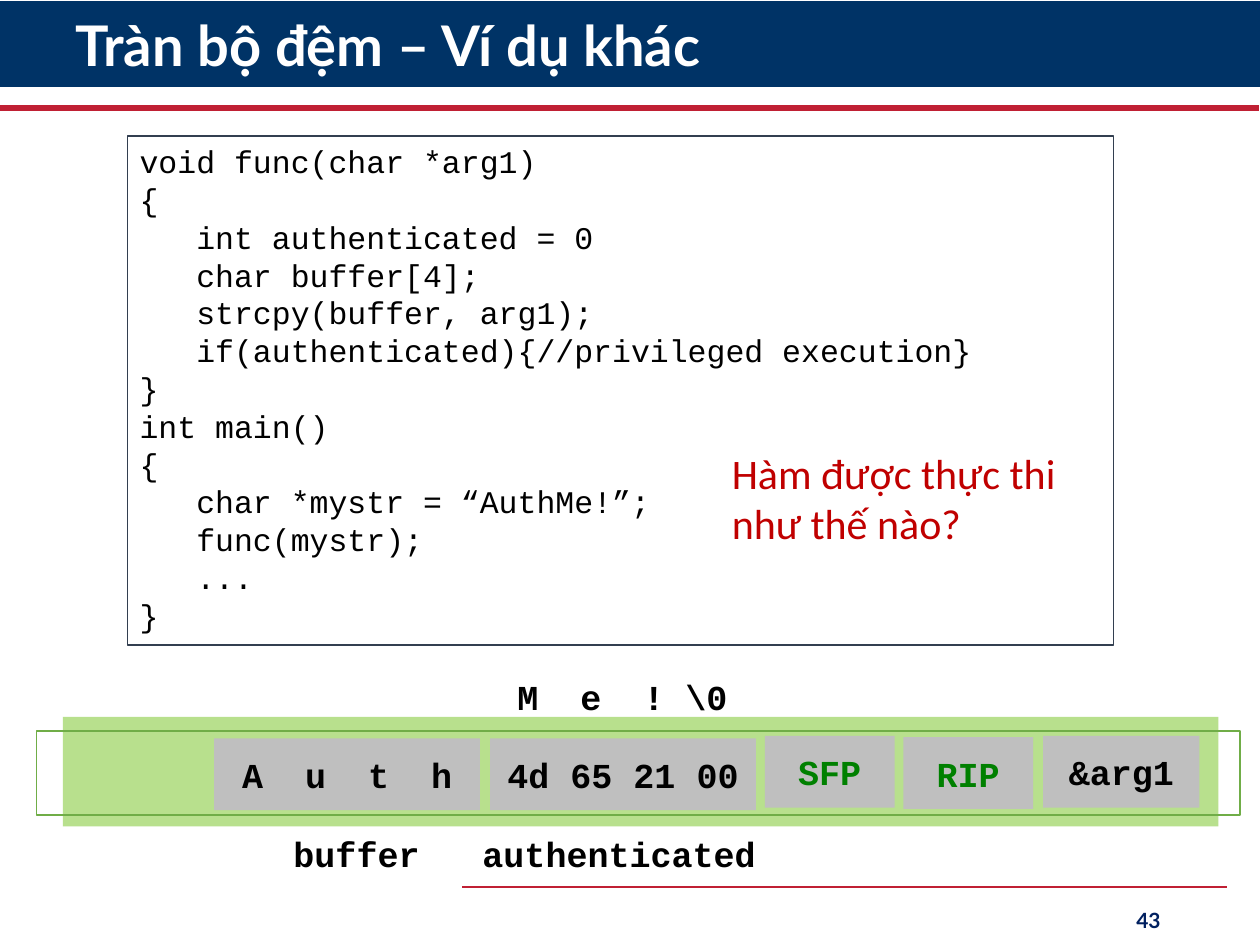
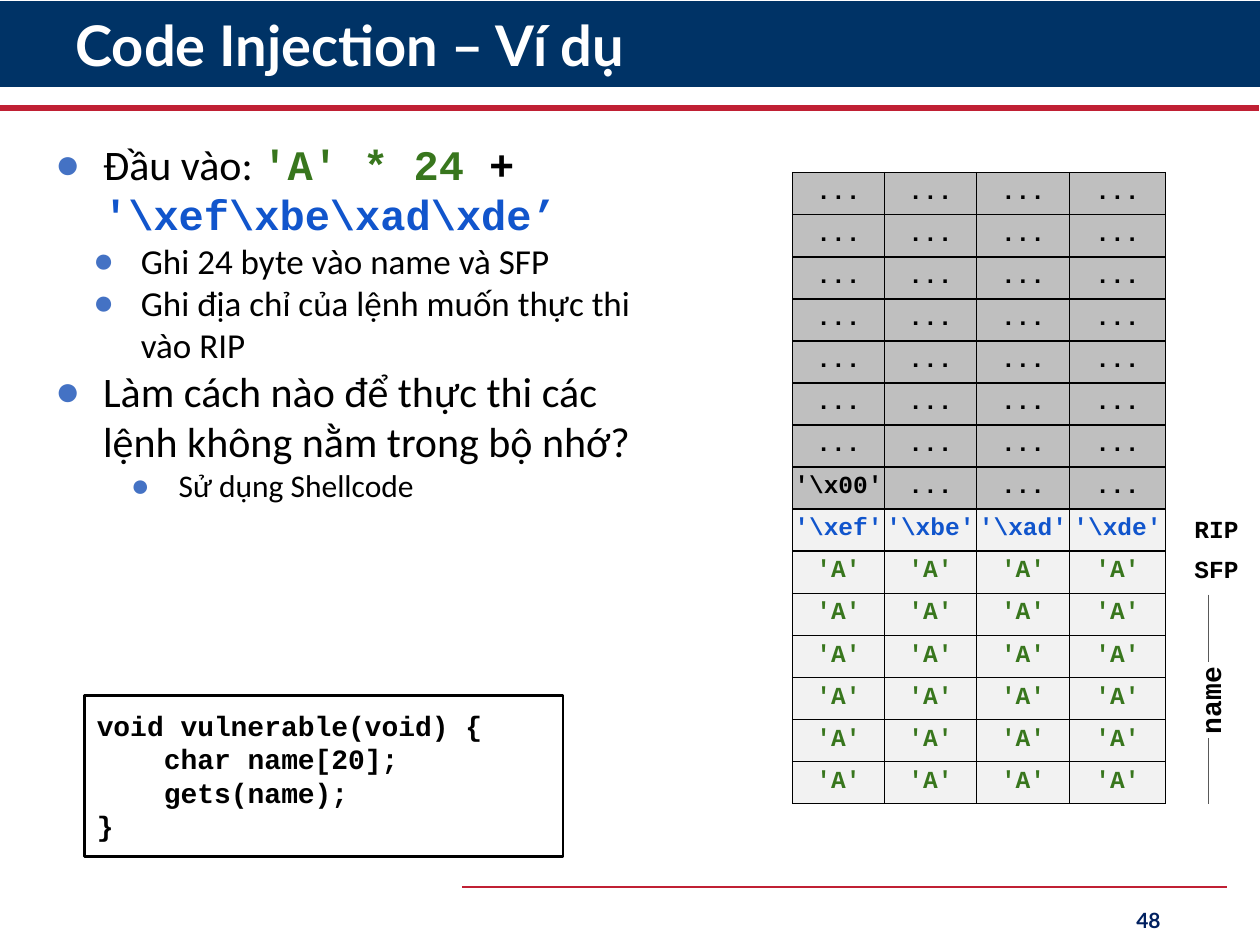
from dataclasses import dataclass, replace

from lxml.etree import SubElement
from pptx import Presentation
from pptx.dml.color import RGBColor
from pptx.enum.shapes import MSO_CONNECTOR, MSO_SHAPE
from pptx.enum.text import MSO_ANCHOR, PP_ALIGN
from pptx.oxml.ns import qn
from pptx.util import Inches, Pt

COLORS = {
    "white": "FFFFFF",
    "black": "000000",
    "navy": "003366",
    "number": "002060",
    "crimson": "C02034",
    "question": "C00000",
    "slate": "333F50",
    "lime": "92D050",
    "leaf": "70AD47",
    "grey": "BFBFBF",
    "pale": "F2F2F2",
    "bracket": "595959",
    "register": "008000",
    "padding": "38761D",
    "address": "1155CC",
    "bullet": "4472C4",
}
HEADING, BODY, CODE = "Lato", "Calibri", "Courier New"
CHARACTER_WIDTH = 0.6
BULLET_HANG = 0.38


@dataclass(frozen=True)
class Style:
    size: float
    font: str = CODE
    color: str = "black"
    bold: bool = False
    spacing: float = 0


@dataclass(frozen=True)
class Span:
    text: str
    style: Style


@dataclass(frozen=True)
class Para:
    spans: list[Span]
    align: PP_ALIGN = PP_ALIGN.LEFT
    left: float = 0
    level: int = 0
    bullet: bool = False
    line_spacing: float | None = None


@dataclass(frozen=True)
class Box:
    left: float
    top: float
    width: float
    height: float
    paras: tuple[Para, ...] | list[Para] = ()
    fill: str | None = None
    alpha: int = 100
    line: str | None = None
    line_width: float = 1
    anchor: MSO_ANCHOR = MSO_ANCHOR.TOP
    side_inset: float = 0.1
    end_inset: float = 0.05
    wrap: bool = True
    rotation: float = 0
    is_text: bool = False


@dataclass(frozen=True)
class Line:
    start: tuple[float, float]
    end: tuple[float, float]
    color: str
    width: float


STACK = Style(20, bold=True)
REGISTER = replace(STACK, color="register")
LABEL = Style(14, bold=True)
TITLE = Style(32, HEADING, "white", True)
PAGE_NUMBER = Style(12, HEADING, "number", True)


def color(name: str) -> RGBColor:
    return RGBColor.from_string(COLORS[name])


def centered(text: str, style: Style) -> Para:
    return Para([Span(text, style)], PP_ALIGN.CENTER)


def code_paras(lines: list[tuple[int, str]], style: Style) -> list[Para]:
    step = style.size * CHARACTER_WIDTH / 72
    return [Para([Span(text, style)], left=columns * step) for columns, text in lines]


def spaced_letters(letters: list[str], gaps: list[int]) -> Para:
    spans = [Span(letters[0], STACK)]
    for letter, gap in zip(letters[1:], gaps):
        extra = (gap - 1) * STACK.size * CHARACTER_WIDTH
        spans += [Span(" ", replace(STACK, spacing=extra)), Span(letter, STACK)]
    return Para(spans, PP_ALIGN.CENTER)


def bullet(spans: list[Span], level: int = 0) -> Para:
    return Para(spans, left=0.5 + 0.3 * level, level=level, bullet=True)


def add_bullet_mark(properties) -> None:
    properties.set("indent", str(-Inches(BULLET_HANG)))
    tint = SubElement(properties, qn("a:buClr"))
    SubElement(tint, qn("a:srgbClr"), val=COLORS["bullet"])
    SubElement(properties, qn("a:buFont"), typeface="Arial")
    SubElement(properties, qn("a:buChar"), char="●")


def write_para(paragraph, para: Para) -> None:
    paragraph.alignment = para.align
    paragraph.level = para.level
    if para.line_spacing:
        paragraph.line_spacing = para.line_spacing
    properties = paragraph._p.get_or_add_pPr()
    if para.left:
        properties.set("marL", str(Inches(para.left)))
    if para.bullet:
        add_bullet_mark(properties)
    for span in para.spans:
        run = paragraph.add_run()
        run.text = span.text
        run.font.size = Pt(span.style.size)
        run.font.name = span.style.font
        run.font.bold = span.style.bold
        run.font.color.rgb = color(span.style.color)
        if span.style.spacing:
            run._r.get_or_add_rPr().set("spc", str(round(span.style.spacing * 100)))


def write_paras(frame, paras) -> None:
    for index, para in enumerate(paras):
        write_para(frame.add_paragraph() if index else frame.paragraphs[0], para)


def draw_box(page, box: Box) -> None:
    place = [Inches(value) for value in (box.left, box.top, box.width, box.height)]
    if box.is_text:
        shape = page.shapes.add_textbox(*place)
    else:
        shape = page.shapes.add_shape(MSO_SHAPE.RECTANGLE, *place)
        shape.shadow.inherit = False
    shape.rotation = box.rotation
    if box.fill:
        shape.fill.solid()
        shape.fill.fore_color.rgb = color(box.fill)
        if box.alpha < 100:
            tint = shape.element.spPr.find(qn("a:solidFill"))[0]
            SubElement(tint, qn("a:alpha"), val=str(box.alpha * 1000))
    else:
        shape.fill.background()
    if box.line:
        shape.line.color.rgb = color(box.line)
        shape.line.width = Pt(box.line_width)
    else:
        shape.line.fill.background()
    frame = shape.text_frame
    frame.word_wrap = box.wrap
    frame.vertical_anchor = box.anchor
    frame.margin_left = frame.margin_right = Inches(box.side_inset)
    frame.margin_top = frame.margin_bottom = Inches(box.end_inset)
    write_paras(frame, box.paras)


def draw_line(page, line: Line) -> None:
    points = [Inches(value) for value in (*line.start, *line.end)]
    connector = page.shapes.add_connector(MSO_CONNECTOR.STRAIGHT, *points)
    connector.line.color.rgb = color(line.color)
    connector.line.width = Pt(line.width)
    SubElement(connector.element.spPr, qn("a:effectLst"))


def start_page(deck, title: str, number: int):
    page = deck.slides.add_slide(deck.slide_layouts[6])
    draw_box(page, Box(0, 0.01, 10, 0.68, fill="navy"))
    draw_line(page, Line((-0.01, 0.86), (9.99, 0.86), "crimson", 3.5))
    draw_line(page, Line((3.67, 7.04), (9.74, 7.04), "crimson", 1.5))
    heading = Para([Span(title, TITLE)], line_spacing=0.9)
    footer = Para([Span(str(number), PAGE_NUMBER)], PP_ALIGN.RIGHT)
    for place, para in (((0.5, 0.08, 8.81, 0.61), heading), ((7.06, 7.1, 2.25, 0.4), footer)):
        draw_box(page, Box(*place, [para], anchor=MSO_ANCHOR.MIDDLE, is_text=True))
    return page


def build_overflow_page(deck) -> None:
    page = start_page(deck, "Tràn bộ đệm – Ví dụ khác", 43)
    source = code_paras([
        (0, "void func(char *arg1)"),
        (0, "{"),
        (3, "int authenticated = 0"),
        (3, "char buffer[4];"),
        (3, "strcpy(buffer, arg1);"),
        (3, "if(authenticated){//privileged execution}"),
        (0, "}"),
        (0, "int main()"),
        (0, "{"),
        (3, "char *mystr = “AuthMe!”;"),
        (3, "func(mystr);"),
        (3, "..."),
        (0, "}"),
    ], Style(18))
    question = Para([Span("Hàm được thực thi như thế nào?", Style(24, BODY, "question"))])
    draw_box(page, Box(1.01, 1.08, 7.83, 4.04, source, line="slate", line_width=0.75))
    draw_box(page, Box(5.71, 3.5, 2.87, 0.91, [question], is_text=True))
    draw_box(page, Box(0.5, 5.69, 9.17, 0.87, fill="lime", alpha=65))
    draw_box(page, Box(0.29, 5.8, 9.55, 0.67, line="leaf"))

    stack_cells = [
        (1.7, 5.86, 2.11, spaced_letters(list("Auth"), [2, 2, 2])),
        (3.89, 5.86, 2.11, centered("4d 65 21 00", STACK)),
        (6.07, 5.84, 1.03, centered("SFP", REGISTER)),
        (7.17, 5.85, 1.03, centered("RIP", REGISTER)),
        (8.28, 5.84, 1.24, centered("&arg1", STACK)),
    ]
    for left, top, width, para in stack_cells:
        draw_box(page, Box(left, top, width, 0.57, [para], fill="grey", anchor=MSO_ANCHOR.MIDDLE))
    stack_labels = [
        (3.88, 5.31, 2.12, spaced_letters(["M", "e", "!", "\\0"], [2, 2, 1])),
        (1.77, 6.56, 2.12, centered("buffer", STACK)),
        (3.66, 6.56, 2.51, centered("authenticated", STACK)),
    ]
    for left, top, width, para in stack_labels:
        draw_box(page, Box(left, top, width, 0.44, [para], is_text=True))


def draw_memory_table(page) -> None:
    rows = [["..."] * 4] * 7 + [["'\\x00'"] + ["..."] * 3]
    free_rows = len(rows)
    rows += [["'\\xef'", "'\\xbe'", "'\\xad'", "'\\xde'"]] + [["'A'"] * 4] * 6
    table = page.shapes.add_table(
        len(rows), 4, Inches(6.29), Inches(1.37), Inches(2.97), Inches(5.01)
    ).table
    table.first_row = table.horz_banding = False
    for column, width in zip(table.columns, (0.73, 0.73, 0.74, 0.76)):
        column.width = Inches(width)
    for row_index, row in enumerate(rows):
        is_free = row_index < free_rows
        ink = "black" if is_free else "address" if row_index == free_rows else "padding"
        for column_index, text in enumerate(row):
            cell = table.cell(row_index, column_index)
            cell.margin_left = cell.margin_right = 0
            cell.margin_top = cell.margin_bottom = Inches(0.05)
            properties = cell._tc.get_or_add_tcPr()
            for side in "LRTB":
                border = SubElement(properties, qn(f"a:ln{side}"), w=str(Pt(1)))
                fill = SubElement(border, qn("a:solidFill"))
                SubElement(fill, qn("a:srgbClr"), val=COLORS["black"])
            cell.fill.solid()
            cell.fill.fore_color.rgb = color("grey" if is_free else "pale")
            write_para(cell.text_frame.paragraphs[0], centered(text, replace(LABEL, color=ink)))


def build_injection_page(deck) -> None:
    page = start_page(deck, "Code Injection – Ví dụ", 48)
    source = code_paras([
        (0, "void vulnerable(void) {"),
        (4, "char name[20];"),
        (4, "gets(name);"),
        (0, "}"),
    ], Style(16, bold=True))
    draw_box(page, Box(0.67, 5.52, 3.8, 1.28, source, "white", line="black", line_width=1.5, end_inset=0.1))
    for top, bottom in ((4.72, 5.25), (5.86, 6.38)):
        draw_line(page, Line((9.59, top), (9.59, bottom), "bracket", 0.75))
    draw_memory_table(page)
    labels = [
        Box(8.92, 5.34, 1.34, 0.44, [centered("name", Style(16, bold=True))], rotation=270),
        Box(9.38, 3.98, 0.55, 0.44, [centered("RIP", LABEL)]),
        Box(9.38, 4.3, 0.55, 0.44, [centered("SFP", LABEL)]),
    ]
    for label in labels:
        draw_box(page, replace(label, end_inset=0.1, wrap=False, is_text=True))

    main, detail, minor = (Style(size, BODY) for size in (24, 20, 18))
    payload = Style(24, bold=True)
    points = [
        bullet([
            Span("Đầu vào: ", main),
            Span("'A' * 24", replace(payload, color="padding")),
            Span(" + ", payload),
            Span("'\\xef\\xbe\\xad\\xde’", replace(payload, color="address")),
        ]),
        bullet([Span("Ghi 24 byte vào name và SFP", detail)], 1),
        bullet([Span("Ghi địa chỉ của lệnh muốn thực thi vào RIP", detail)], 1),
        bullet([Span("Làm cách nào để thực thi các lệnh không nằm trong bộ nhớ?", main)]),
        bullet([Span("Sử dụng Shellcode", minor)], 2),
    ]
    draw_box(page, Box(0.22, 1, 5.2, 4.37, points, end_inset=0.1, is_text=True))


def main() -> None:
    deck = Presentation()
    deck.slide_width, deck.slide_height = Inches(10), Inches(7.5)
    build_overflow_page(deck)
    build_injection_page(deck)
    deck.save("out.pptx")


if __name__ == "__main__":
    main()
